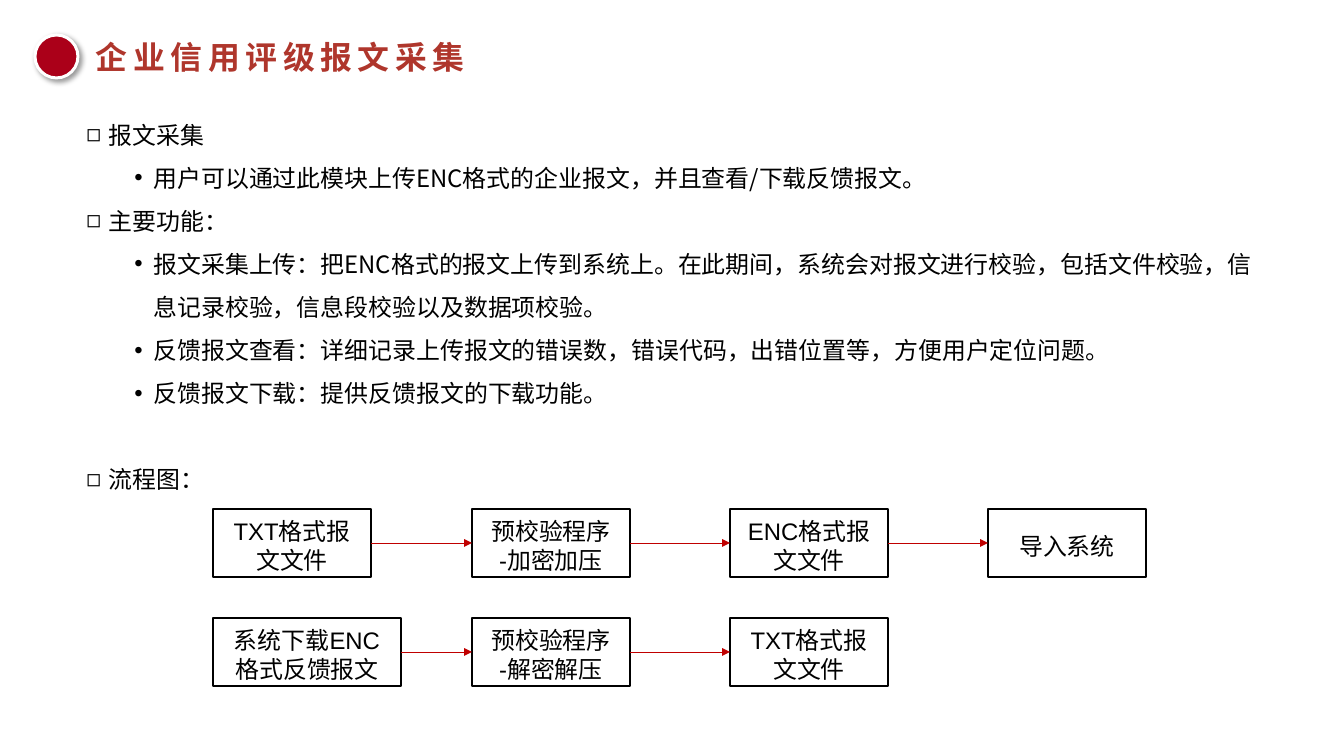
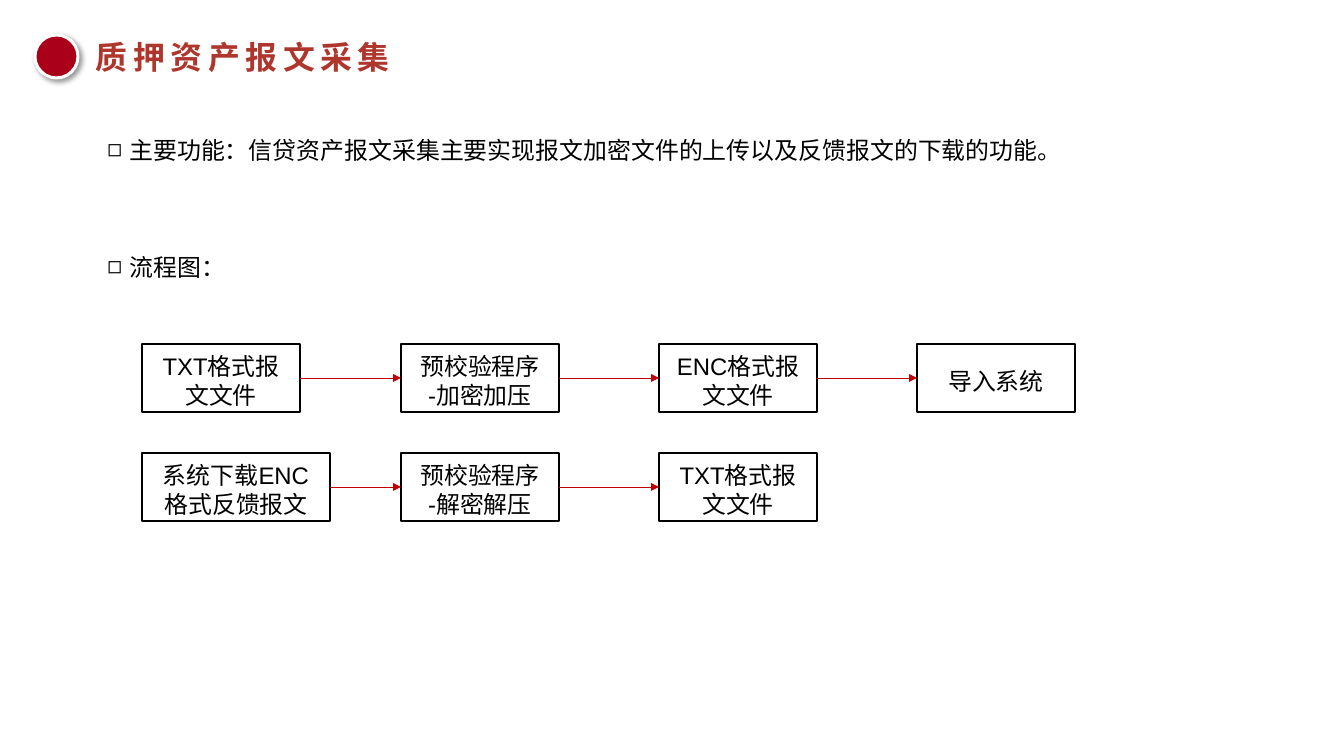
from pptx import Presentation
from pptx.dml.color import RGBColor
from pptx.enum import shapes, text
from pptx.oxml import parse_xml
from pptx.oxml.ns import nsdecls, qn
from pptx.util import Emu, Pt
from lxml import etree

# Shared scale, colours and fonts
PX = 9565
WHITE = RGBColor(0xFF, 0xFF, 0xFF)
BLACK = RGBColor(0, 0, 0)
TITLE_RED = RGBColor(0xAF, 0x36, 0x2C)
DOT_RED = RGBColor(0xAB, 0x00, 0x19)
ARROW_RED = RGBColor(0xC0, 0x00, 0x00)
BODY_FONT, BOX_FONT = "Noto Sans CJK SC", "Arial"

# Flow chart grid, in px
BOX_WIDTH, BOX_HEIGHT, WIDE_BOX = 158, 68, 188
COLUMN_STEP, ROW_STEP = 258, 109
UPLOAD_FLOW = ["TXT格式报文文件", "预校验程序\n-加密加压", "ENC格式报文文件", "导入系统"]
DOWNLOAD_FLOW = ["系统下载ENC格式反馈报文", "预校验程序\n-解密解压", "TXT格式报文文件"]

# Bullet levels: character, left margin and hanging indent in px
BULLETS = [("◻", 22, 22), ("•", 67, 19)]


def px(length):
    return Emu(length * PX)


def area(left, top, width, height):
    return px(left), px(top), px(width), px(height)


def child(parent, tag, **attributes):
    return etree.SubElement(parent, qn(tag), attributes)


def style_para(para, size, color, font, line_height):
    para.line_spacing = Pt(line_height)
    for span in para.runs:
        span.font.size = Pt(size)
        span.font.color.rgb = color
        span.font.name = font
        child(span.font._element, "a:ea", typeface=BODY_FONT)


def add_bullet(para, level):
    char, margin, hanging = BULLETS[level]
    props = para._p.get_or_add_pPr()
    props.set("marL", str(margin * PX))
    props.set("indent", str(-hanging * PX))
    child(props, "a:buFont", typeface=BOX_FONT)
    child(props, "a:buChar", char=char)


def add_heading(page, title):
    # Title
    box = page.shapes.add_textbox(*area(96, 35, 400, 38))
    frame = box.text_frame
    frame.word_wrap = True
    frame.margin_left = frame.margin_top = frame.margin_right = frame.margin_bottom = 0
    frame.text = title
    para = frame.paragraphs[0]
    style_para(para, 24, TITLE_RED, BODY_FONT, 31)
    para.runs[0].font.bold = True
    para.runs[0].font._element.set("spc", "420")

    # Red dot with a soft shadow
    dot = page.shapes.add_shape(shapes.MSO_SHAPE.OVAL, *area(35, 35, 43, 43))
    dot.fill.solid()
    dot.fill.fore_color.rgb = DOT_RED
    dot.line.color.rgb = WHITE
    dot.line.width = Pt(2.25)
    dot.shadow.inherit = False
    dot._element.spPr.find(qn("a:effectLst")).append(parse_xml(
        f'<a:outerShdw {nsdecls("a")} blurRad="50800" dist="38100" dir="2700000" '
        'algn="tl" rotWithShape="0"><a:srgbClr val="000000">'
        '<a:alpha val="40000"/></a:srgbClr></a:outerShdw>'))


def add_body(page, left, top, width, height, inset_top, items):
    """Items are (level, px of space before, wording)."""
    box = page.shapes.add_textbox(*area(left, top, width, height))
    frame = box.text_frame
    frame.word_wrap = True
    frame.margin_top = px(inset_top)
    frame.text = "\n".join(wording for _, _, wording in items)
    for para, (level, gap, _) in zip(frame.paragraphs, items):
        para.level = level
        para.space_before = px(gap)
        style_para(para, 18, BLACK, BODY_FONT, 32.4)
        add_bullet(para, level)


def add_step(page, left, top, width, wording):
    step = page.shapes.add_shape(shapes.MSO_SHAPE.RECTANGLE,
                                 *area(left, top, width, BOX_HEIGHT))
    step.shadow.inherit = False
    step.fill.solid()
    step.fill.fore_color.rgb = WHITE
    color = step._element.spPr.find(qn("a:solidFill"))[0]
    child(color, "a:alpha", val="50000")
    step.line.color.rgb = BLACK
    step.line.width = Pt(1)
    frame = step.text_frame
    frame.word_wrap = True
    frame.margin_top = px(10)
    frame.vertical_anchor = text.MSO_ANCHOR.MIDDLE
    frame.text = wording
    for para in frame.paragraphs:
        para.alignment = text.PP_ALIGN.CENTER
        style_para(para, 18, BLACK, BOX_FONT, 21.5)
    return step


def add_arrow(page, start, end):
    arrow = page.shapes.add_connector(shapes.MSO_CONNECTOR.STRAIGHT, 0, 0, 0, 0)
    arrow.begin_connect(start, 3)
    arrow.end_connect(end, 1)
    arrow.line.color.rgb = ARROW_RED
    arrow.line.width = Pt(0.5)
    child(arrow.line._get_or_add_ln(), "a:tailEnd", type="triangle")
    child(arrow._element.spPr, "a:effectLst")


def add_flow_chart(page, left, top):
    rows = [(UPLOAD_FLOW, BOX_WIDTH), (DOWNLOAD_FLOW, WIDE_BOX)]
    for row, (labels, first_width) in enumerate(rows):
        previous = None
        for column, label in enumerate(labels):
            step = add_step(page, left + column * COLUMN_STEP + (column > 0),
                            top + row * ROW_STEP,
                            BOX_WIDTH if column else first_width, label)
            if previous is not None:
                add_arrow(page, previous, step)
            previous = step


def add_page(deck, title, body_box, items, chart_corner):
    page = deck.slides.add_slide(deck.slide_layouts[6])
    add_body(page, *body_box, items)
    add_heading(page, title)
    add_flow_chart(page, *chart_corner)


def main():
    deck = Presentation()
    deck.slide_width, deck.slide_height = px(1344), px(756)

    # Company rating reports
    add_page(deck, "企业信用评级报文采集", (77, 99, 1189, 437, 7), [
        (0, 0, "报文采集"),
        (1, 0, "用户可以通过此模块上传ENC格式的企业报文，并且查看/下载反馈报文。"),
        (0, 0, "主要功能："),
        (1, 0, "报文采集上传：把ENC格式的报文上传到系统上。在此期间，系统会对报文进行校验，"
               "包括文件校验，信息记录校验，信息段校验以及数据项校验。"),
        (1, 0, "反馈报文查看：详细记录上传报文的错误数，错误代码，出错位置等，方便用户定位问题。"),
        (1, 0, "反馈报文下载：提供反馈报文的下载功能。"),
        (0, 43, "流程图："),
    ], (213, 509))

    # Pledged asset reports
    add_page(deck, "质押资产报文采集", (98, 92, 1148, 542, 29), [
        (0, 0, "主要功能：信贷资产报文采集主要实现报文加密文件的上传以及反馈报文的下载的功能。"),
        (0, 74, "流程图："),
    ], (142, 344))

    deck.save("out.pptx")


if __name__ == "__main__":
    main()
